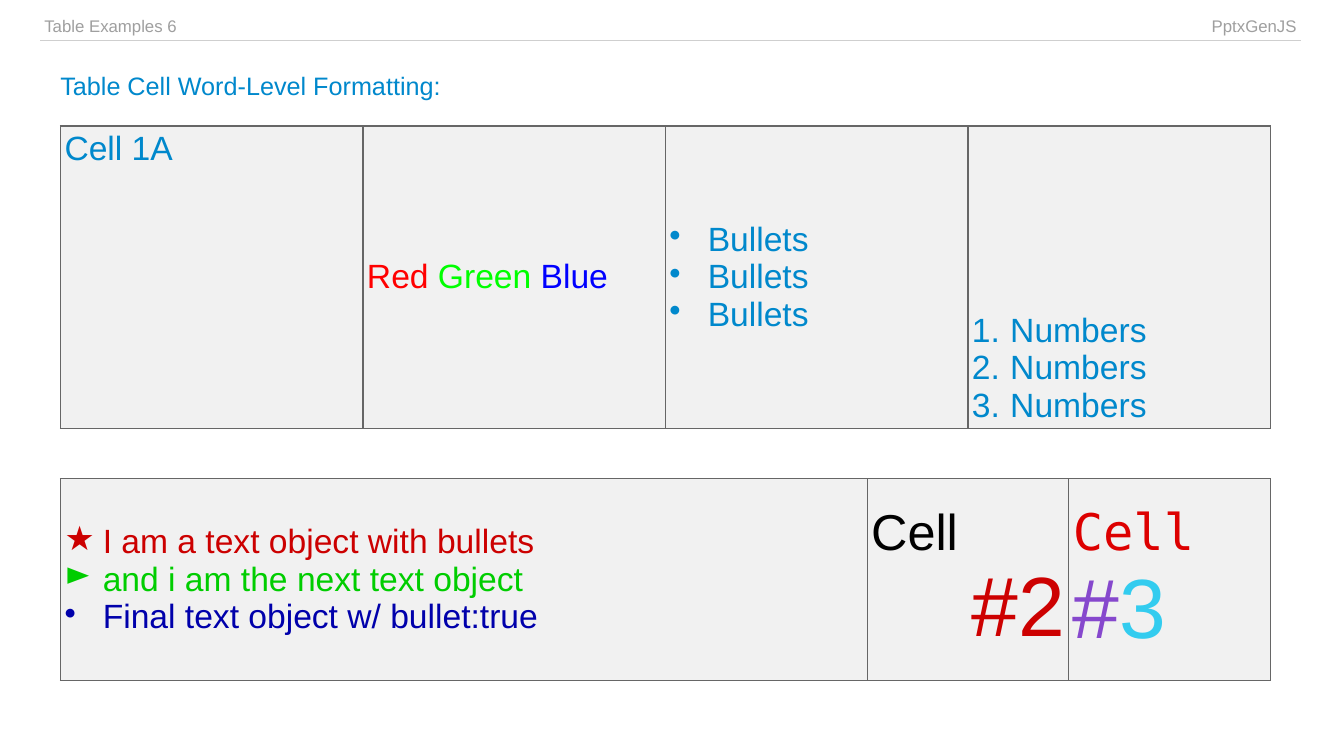
from lxml import etree
from pptx import Presentation
from pptx import util as u
from pptx.dml.color import RGBColor
from pptx.enum import shapes, text
from pptx.oxml import ns

UNIT = u.Inches(1)
INSET = u.Inches(0.04)
INDENT = u.Inches(0.38)
BLUE, RED, GRAY, PANEL = "0088CC", "CC0000", "9F9F9F", "F1F1F1"
LEFT, RIGHT = text.PP_ALIGN.LEFT, text.PP_ALIGN.RIGHT
TOP, MIDDLE, BOTTOM = text.MSO_ANCHOR.TOP, text.MSO_ANCHOR.MIDDLE, text.MSO_ANCHOR.BOTTOM
hex_color = RGBColor.from_string


def write_text(frame, lines):
    """Write lines of (runs, align, bullet); a run is (words, color, size, font name)."""
    for i, (runs, align, bullet) in enumerate(lines):
        paragraph = frame.paragraphs[0] if i == 0 else frame.add_paragraph()
        paragraph.alignment = align
        if bullet:
            props = paragraph._p.get_or_add_pPr()
            props.set("marL", str(INDENT))
            props.set("indent", str(-INDENT))
            if bullet == "1.":
                etree.SubElement(props, ns.qn("a:buAutoNum"), type="arabicPeriod")
            else:
                etree.SubElement(props, ns.qn("a:buChar"), char=bullet)
        shared = len({run[1:] for run in runs}) == 1
        for words, color, size, name in runs:
            run = paragraph.add_run()
            run.text = words.rstrip("\n")
            if words.endswith("\n"):
                paragraph.add_line_break()
            font = paragraph.font if shared else run.font
            font.size, font.name = u.Pt(size), name
            font.color.rgb = hex_color(color)


def add_grid(left, top, widths, height, cells, borders, fill=None):
    """Add a one-row table; cells are (anchor, lines), borders map sides to colors."""
    table = slide.shapes.add_table(
        1, len(widths), int(left * UNIT), int(top * UNIT),
        int(sum(widths) * UNIT), int(height * UNIT)).table
    table.first_row = table.horz_banding = False
    for column, width in zip(table.columns, widths):
        column.width = int(width * UNIT)
    for cell, (anchor, lines) in zip(table.rows[0].cells, cells):
        cell.margin_left = cell.margin_right = INSET
        cell.margin_top = cell.margin_bottom = INSET
        cell.vertical_anchor = anchor
        for side in "LRTB":
            line = etree.SubElement(cell._tc.get_or_add_tcPr(), ns.qn("a:ln" + side), w=str(u.Pt(1)))
            if side in borders:
                solid = etree.SubElement(line, ns.qn("a:solidFill"))
                etree.SubElement(solid, ns.qn("a:srgbClr"), val=borders[side])
            else:
                etree.SubElement(line, ns.qn("a:noFill"))
        if fill:
            cell.fill.solid()
            cell.fill.fore_color.rgb = hex_color(fill)
        else:
            cell.fill.background()
        write_text(cell.text_frame, lines)


deck = Presentation()
deck.slide_width, deck.slide_height = u.Inches(13.33), u.Inches(7.5)
slide = deck.slides.add_slide(deck.slide_layouts[6])

header = [(TOP, [([(words, GRAY, 12, "Arial")], align, None)])
          for words, align in (("Table Examples 6", LEFT), ("PptxGenJS", RIGHT))]
add_grid(0.4, 0.13, [9, 3.5], 0.27, header, {"B": "CFCFCF"})

heading = slide.shapes.add_shape(
    shapes.MSO_SHAPE.RECTANGLE, int(0.5 * UNIT), int(0.7 * UNIT), 4 * UNIT, int(0.3 * UNIT))
heading.shadow.inherit = False
heading.fill.solid()
heading.fill.fore_color.rgb = hex_color("FFFFFF")
heading.line.fill.background()
heading.text_frame.word_wrap = True
heading.text_frame.vertical_anchor = MIDDLE
write_text(heading.text_frame, [([("Table Cell Word-Level Formatting:", BLUE, 18, "Arial")], LEFT, None)])

frame_lines = dict.fromkeys("LRTB", "666666")
primaries = [("Red ", "FF0000"), ("Green ", "00FF00"), ("Blue", "0000FF")]
word_cells = [
    (TOP, [([("Cell 1A", BLUE, 24, "Arial")], LEFT, None)]),
    (MIDDLE, [([(words, color, 24, "Arial") for words, color in primaries], LEFT, None)]),
    (MIDDLE, [([("Bullets", BLUE, 24, "Arial")], LEFT, "•")] * 3),
    (BOTTOM, [([("Numbers", BLUE, 24, "Arial")], LEFT, "1.")] * 3),
]
add_grid(0.6, 1.25, [3] * 4, 3, word_cells, frame_lines, PANEL)

bullet_lines = [
    ("I am a text object with bullets", RED, "★"),
    ("and i am the next text object", "00CD00", "►"),
    ("Final text object w/ bullet:true", "0000AB", "•"),
]
object_cells = [
    (MIDDLE, [([(words, color, 24, "Arial")], LEFT, bullet)
              for words, color, bullet in bullet_lines]),
    (MIDDLE, [([("Cell", "000000", 36, "Arial")], LEFT, None),
              ([("#2", "CD0101", 60, "Arial")], RIGHT, None)]),
    (MIDDLE, [([("Cell\n", "DD0000", 36, "DejaVu Sans Mono"),
                ("#", "8648CD", 60, "Arial"),
                ("3", "33CCEF", 60, "Arial")], LEFT, None)]),
]
add_grid(0.6, 4.75, [8, 2, 2], 2, object_cells, frame_lines, PANEL)

deck.save("out.pptx")
